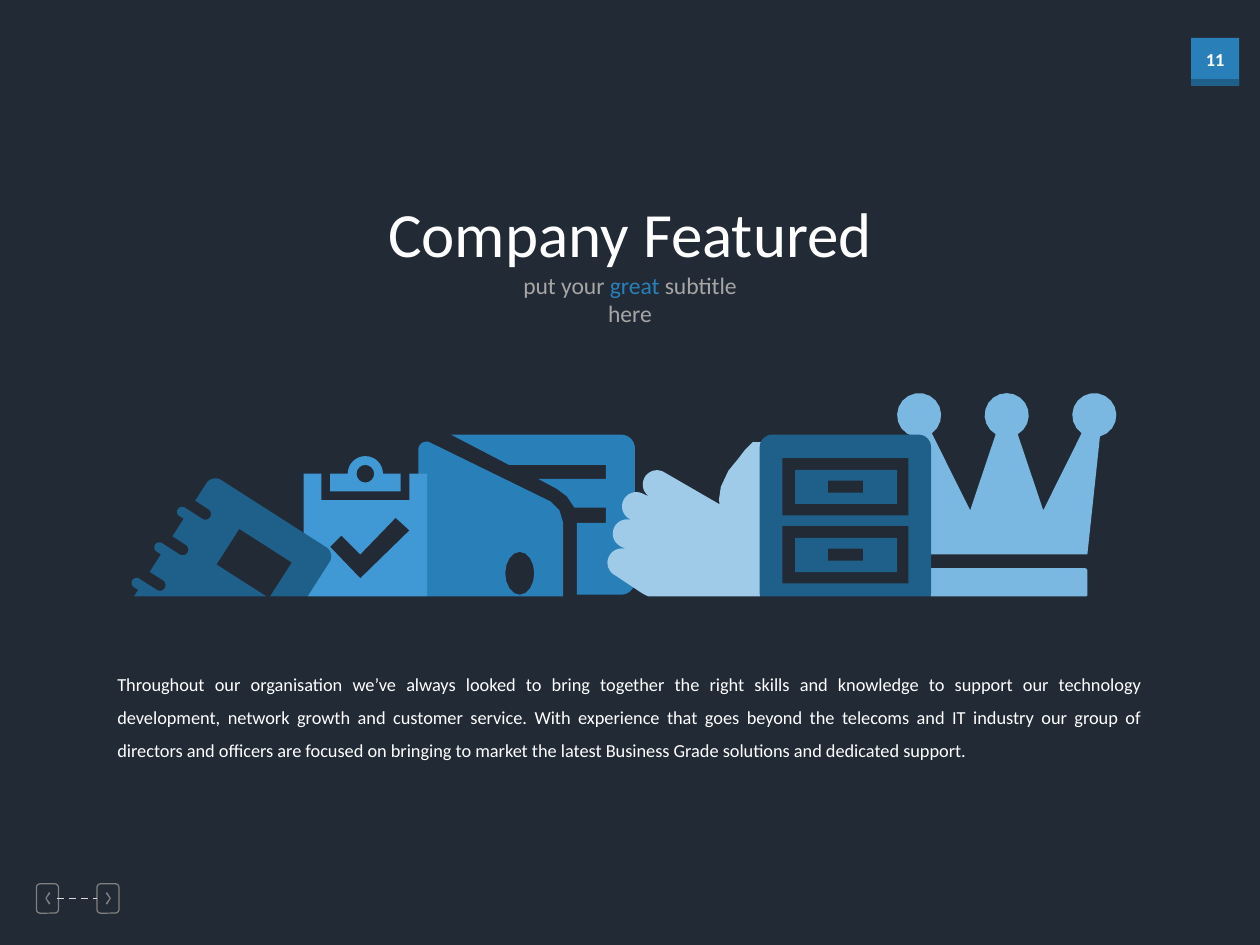
from math import cos, radians, sin

from lxml.etree import SubElement
from pptx import Presentation
from pptx.dml.color import RGBColor
from pptx.enum.dml import MSO_LINE as Dash
from pptx.enum.shapes import MSO_CONNECTOR as Link, MSO_SHAPE as Kind
from pptx.enum.text import PP_ALIGN as Align
from pptx.oxml.ns import qn
from pptx.util import Pt

NIGHT = RGBColor(0x22, 0x2A, 0x35)
WHITE = RGBColor(0xFF, 0xFF, 0xFF)
GREY = RGBColor(0x80, 0x80, 0x80)
SILVER = RGBColor(0xA6, 0xA6, 0xA6)
PALE = RGBColor(0xD9, 0xD9, 0xD9)
BLUE = RGBColor(0x29, 0x80, 0xB9)
DEEP = RGBColor(0x1F, 0x60, 0x8B)
SKY = RGBColor(0x40, 0x98, 0xD4)
LIGHT = RGBColor(0x7B, 0xB8, 0xE1)
MIST = RGBColor(0x9F, 0xCB, 0xE9)

FONT = "Calibri"
UNIT = Pt(0.72)  # one step of the grid on which the icons are drawn
STEPS = 16  # straight pieces per arc

TITLE = [("Company Featured", WHITE)]
SUBTITLE = [("put your ", SILVER), ("great", BLUE), (" subtitle here", SILVER)]
BODY = [(
    "Throughout our organisation we’ve always looked to bring together the right "
    "skills and knowledge to support our technology development, network growth and "
    "customer service. With experience that goes beyond the telecoms and IT industry "
    "our group of directors and officers are focused on bringing to market the latest "
    "Business Grade solutions and dedicated support.", WHITE)]


# Outlines: each returns a list of (x, y) grid points

def arc(x, y, r, start, end, tall=None):
    """Points round a centre; degrees run clockwise from the right."""
    turns = [radians(start + (end - start) * n / STEPS) for n in range(STEPS + 1)]
    return [(x + r * cos(t), y + (tall or r) * sin(t)) for t in turns]


def ring(x, y, r, tall=None):
    return arc(x, y, r, 0, 360, tall)


def box(left, top, right, base, r=0):
    """A rectangle, with rounded corners if r is given."""
    if not r:
        return [(left, top), (right, top), (right, base), (left, base)]
    return (arc(left + r, top + r, r, 180, 270) + arc(right - r, top + r, r, 270, 360)
            + arc(right - r, base - r, r, 0, 90) + arc(left + r, base - r, r, 90, 180))


def chevron(tip, way):
    """An arrow mark; way is 1 to point left and -1 to point right."""
    half = [(0, 0), (3, -5), (4, -4), (1, 0), (4, 4), (3, 5)]
    return [(tip + way * x, 713 + y) for x, y in half]


# Icons: each returns its outer outline first, then the holes in it

def crown():
    balls = [(729.5, 105, 415), (799, 120, 420), (868.5, 125, 435)]
    left, mid, right = [arc(x, 329.5, 17.5, start, end) for x, start, end in balls]
    foot = [(863, 440), (735, 440)]
    return [left + [(770, 405)] + mid + [(828, 405)] + right + foot]


def card():
    edge = arc(493, 356, 11, 270, 360) + arc(493, 461, 11, 0, 90)
    slots = [(458, 472), (458, 415), (481, 415), (481, 403), (456, 403), (450, 394),
             (442, 388), (427, 380), (481, 380), (481, 369), (404, 369)]
    return [[(358, 345)] + edge + slots]


def wallet():
    """The lower half is the upper half turned round the middle."""
    upper = arc(338.5, 357, 6.5, 180, 300) + [(437, 398), (444, 405), (447, 415)]
    lower = [(779 - x, 876 - y) for x, y in upper]
    return [upper + lower, ring(412.5, 455, 11.5, 17)]


def hand():
    thumb = [(565, 397), (563, 394), (560, 384), (560, 370), (563, 358), (565, 349),
             (568, 341), (579, 336), (590, 338), (590, 371)]
    palm = [(613, 418), (627, 426), (627, 482), (573, 489), (539, 487)]
    tips, r = [502, 494.5, 497, 503], 11.35
    fingers = []
    for n, tip in reversed(list(enumerate(tips))):
        fingers += arc(tip + r, 392.5 + r + 2 * r * n, r, 90, 270)
    return [thumb + palm + fingers]


def clip():
    bump = arc(290, 376, 14, 180, 360)
    return [[(262, 390), (262, 376)] + bump + [(318, 376), (318, 390)], ring(290, 376, 7)]


def board():
    notch = [(325, 376), (325, 397), (255, 397), (255, 376)]
    sheet = [(241, 376), (241, 474), (339, 474), (339, 376)]
    tick = [(286, 459), (262, 434), (271, 425), (286, 440), (314, 411), (325, 421)]
    return [notch + sheet, tick]


def pad():
    """A notebook, drawn upright, with three binding rings on its left."""
    edge = box(124, 395, 240, 528, 8.5)
    for top in (487, 453.5, 420):
        prong = arc(120, top + 13, 4, 90, 270)
        notch = arc(136.5, top + 4.5, 4.5, 90, -90)
        edge += [(124, top + 17)] + prong + notch + [(124, top)]
    return [edge, box(165.5, 420, 215, 453.5)]


ROWS = [427, 373]  # tops of the drawers


def chest():
    return [box(603, 345, 739, 481, 10)] + [box(621, y - 9.5, 721, y + 36) for y in ROWS]


def drawer(y):
    return [box(631, y, 712, y + 27), box(657, y + 8.5, 685, y + 18)]


# Icon, fill, degrees of turn, from back to front
ART = [
    ([box(735, 451, 863, 474, 2)], LIGHT, 0), (crown(), LIGHT, 0), (card(), BLUE, 0),
    (wallet(), BLUE, 0), (hand(), MIST, 25.1), (clip(), SKY, 0), (board(), SKY, 0),
    (pad(), DEEP, 32.6), (chest(), DEEP, 0),
] + [(drawer(y), DEEP, 0) for y in ROWS]


def paint(shape, fill):
    shape.shadow.inherit = False
    shape.fill.solid()
    shape.fill.fore_color.rgb = fill
    shape.line.fill.background()


def draw(shapes, icon, fill, turn=0):
    pen = None
    for outline in icon:
        first, *rest = [(x * UNIT, y * UNIT) for x, y in outline]
        if pen:
            pen.move_to(*first)
        else:
            pen = shapes.build_freeform(*first, scale=1.0)
        pen.add_line_segments(rest, close=True)
    shape = pen.convert_to_shape()
    shape.rotation = turn
    paint(shape, fill)


def block(shapes, area, fill):
    paint(shapes.add_shape(Kind.RECTANGLE, *map(Pt, area)), fill)


def write(shapes, area, runs, size, align=Align.CENTER, bold=False, wrap=True):
    frame = shapes.add_textbox(*map(Pt, area)).text_frame
    frame.word_wrap = wrap
    para = frame.paragraphs[0]
    para.alignment = align
    for text, tint in runs:
        run = para.add_run()
        run.text = text
        run.font.color.rgb = tint
    para.font.name, para.font.size, para.font.bold = FONT, Pt(size), bold
    return para


def steer(shapes):
    """Draw the back and forward buttons and the dashed link between them."""
    for left, tip, way in ((20.8, 36, 1), (55.4, 88, -1)):
        draw(shapes, [chevron(tip, way)], GREY)
        key = shapes.add_shape(Kind.ROUNDED_RECTANGLE, Pt(left), Pt(505), Pt(12.6), Pt(16.8))
        key.shadow.inherit = False
        key.fill.background()
        key.line.color.rgb = GREY
        key.line.width = Pt(0.72)
    link = shapes.add_connector(Link.STRAIGHT, Pt(32.4), Pt(513.4), Pt(55.4), Pt(513.4))
    link.end_connect(key, 1)
    link.line.color.rgb = PALE
    link.line.width = Pt(1)
    link.line.dash_style = Dash.DASH
    SubElement(link._element.spPr, qn("a:effectLst"))


def main():
    deck = Presentation()
    deck.slide_width, deck.slide_height = Pt(720), Pt(540)
    slide = deck.slides.add_slide(deck.slide_layouts[6])
    slide.background.fill.solid()
    slide.background.fill.fore_color.rgb = NIGHT
    shapes = slide.shapes

    steer(shapes)
    block(shapes, (680.7, 21.6, 27.4, 27.4), BLUE)
    block(shapes, (680.7, 45.2, 27.4, 3.6), DEEP)
    write(shapes, (680.7, 23.8, 27.4, 20.2), [("11", WHITE)], 10.5, bold=True, wrap=False)
    block(shapes, (0, 185, 720, 156.2), NIGHT)
    write(shapes, (278.5, 151.2, 163, 23.8), SUBTITLE, 13.5)
    write(shapes, (211.7, 107.6, 296.6, 51.1), TITLE, 36, wrap=False)
    for icon, fill, turn in ART:
        draw(shapes, icon, fill, turn)
    # Two bands cut the icons off along one ground line
    block(shapes, (0, 349.2, 720, 123.1), NIGHT)
    block(shapes, (0, 340.8, 720, 8.6), NIGHT)
    body = write(shapes, (60, 374.8, 599.8, 64.8), BODY, 10.5, Align.JUSTIFY)
    body.line_spacing = 1.5
    deck.save("out.pptx")


if __name__ == "__main__":
    main()
